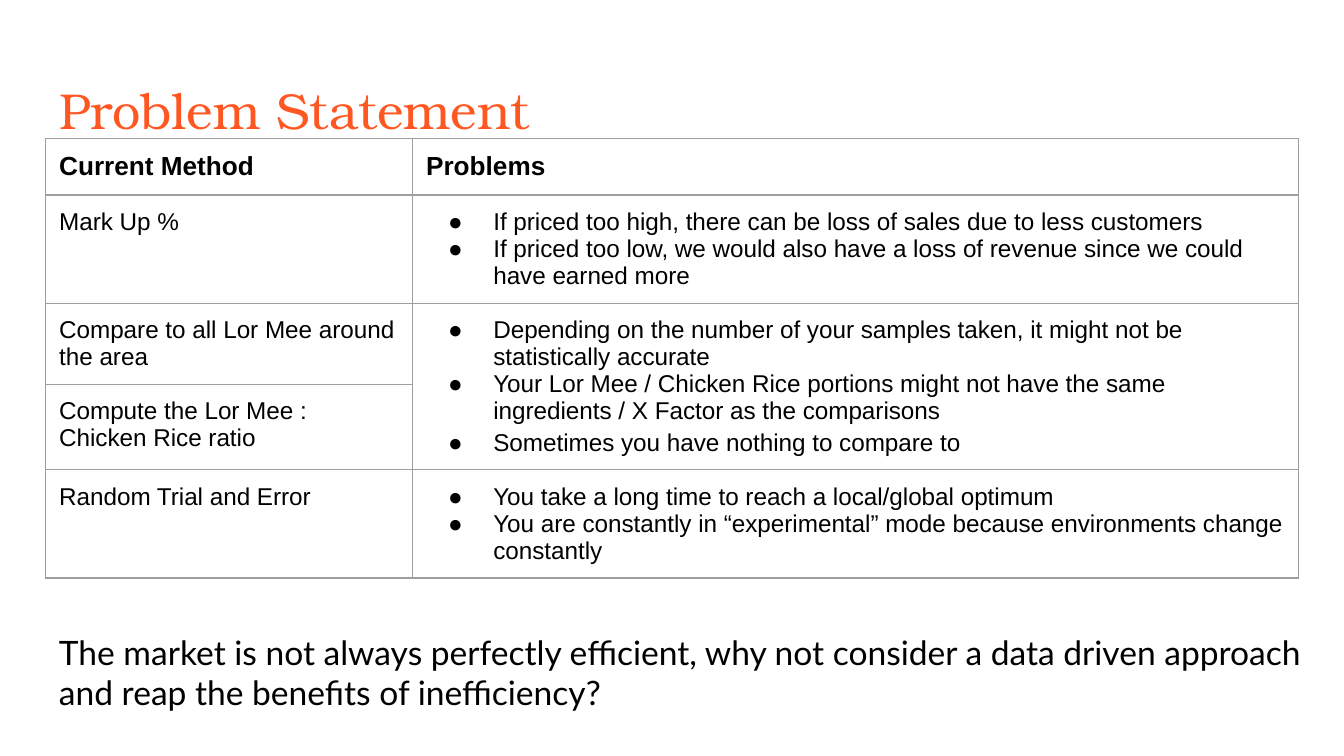
"""Build the problem statement slide with its table of pricing methods."""
from dataclasses import dataclass

from lxml.etree import SubElement
from pptx import Presentation
from pptx.dml.color import RGBColor
from pptx.enum.text import MSO_ANCHOR as Anchor, MSO_AUTO_SIZE as AutoSize, PP_ALIGN as Align
from pptx.oxml import parse_xml
from pptx.oxml.ns import nsdecls, qn
from pptx.util import Pt

ORANGE = RGBColor(0xFF, 0x57, 0x22)
BLACK = RGBColor(0x00, 0x00, 0x00)
GREY = RGBColor(0x9E, 0x9E, 0x9E)
INSET = Pt(7.2)
LEFT = Pt(24.5)


@dataclass(frozen=True)
class Style:
    font: str
    size: float
    color: RGBColor = BLACK
    bold: bool = False


@dataclass(frozen=True)
class Method:
    name: str
    height: float
    problems: tuple[str, ...] = ()


TITLE = Style("TeX Gyre Bonum", 27, ORANGE)
HEADER = Style("Arial", 14, bold=True)
BODY = Style("Arial", 13)
CLOSING = Style("Lato", 18)

HEADER_HEIGHT = 30.4
COLUMN_WIDTHS = (196.6, 474.5)
METHODS = (
    Method("Mark Up %", 58, (
        "If priced too high, there can be loss of sales due to less customers",
        "If priced too low, we would also have a loss of revenue since we could have earned more",
    )),
    Method("Compare to all Lor Mee around the area", 43.4, (
        "Depending on the number of your samples taken, it might not be statistically accurate",
        "Your Lor Mee / Chicken Rice portions might not have the same ingredients / X Factor "
        "as the comparisons",
        "Sometimes you have nothing to compare to",
    )),
    Method("Compute the Lor Mee : Chicken Rice ratio", 45.5),
    Method("Random Trial and Error", 58, (
        "You take a long time to reach a local/global optimum",
        "You are constantly in “experimental” mode because environments change constantly",
    )),
)


def add_run(paragraph, text: str, style: Style) -> None:
    run = paragraph.add_run()
    run.text = text
    run.font.name = style.font
    run.font.size = Pt(style.size)
    run.font.bold = style.bold
    run.font.color.rgb = style.color


def set_insets(holder) -> None:
    holder.margin_left = holder.margin_right = INSET
    holder.margin_top = holder.margin_bottom = INSET


def fill_frame(frame, text: str, style: Style) -> None:
    set_insets(frame)
    frame.word_wrap = True
    frame.vertical_anchor = Anchor.TOP
    frame.paragraphs[0].alignment = Align.LEFT
    add_run(frame.paragraphs[0], text, style)


def add_bullet(paragraph) -> None:
    properties = paragraph._p.get_or_add_pPr()
    properties.set("marL", str(Pt(36)))
    properties.set("indent", str(Pt(-24.25)))
    color = SubElement(properties, qn("a:buClr"))
    SubElement(color, qn("a:srgbClr")).set("val", str(BLACK))
    SubElement(properties, qn("a:buFont")).set("typeface", "Arial")
    SubElement(properties, qn("a:buChar")).set("char", "●")


def format_cell(cell) -> None:
    set_insets(cell)
    cell.vertical_anchor = Anchor.TOP
    cell.fill.background()
    properties = cell._tc.get_or_add_tcPr()
    for position, side in enumerate("LRTB"):
        properties.insert(position, parse_xml(
            f'<a:ln{side} {nsdecls("a")} w="{Pt(0.75)}"><a:solidFill>'
            f'<a:srgbClr val="{GREY}"/></a:solidFill></a:ln{side}>'))


def fill_problems(cell, problems: tuple[str, ...]) -> None:
    frame = cell.text_frame
    for number, problem in enumerate(problems):
        paragraph = frame.add_paragraph() if number else frame.paragraphs[0]
        if number == 2:
            paragraph.line_spacing = 1.15
        add_bullet(paragraph)
        add_run(paragraph, problem, BODY)


def add_methods_table(slide) -> None:
    heights = [HEADER_HEIGHT, *(method.height for method in METHODS)]
    table = slide.shapes.add_table(
        len(heights), len(COLUMN_WIDTHS), LEFT, Pt(74.1),
        Pt(sum(COLUMN_WIDTHS)), Pt(sum(heights))).table
    table.first_row = table.horz_banding = False
    for column, width in zip(table.columns, COLUMN_WIDTHS):
        column.width = Pt(width)
    for row, height in zip(table.rows, heights):
        row.height = Pt(height)
    for cell in table.iter_cells():
        format_cell(cell)
    for column, heading in enumerate(("Current Method", "Problems")):
        add_run(table.cell(0, column).text_frame.paragraphs[0], heading, HEADER)
    for row, method in enumerate(METHODS, start=1):
        add_run(table.cell(row, 0).text_frame.paragraphs[0], method.name, BODY)
        fill_problems(table.cell(row, 1), method.problems)
    table.cell(2, 1).merge(table.cell(3, 1))


def main() -> None:
    deck = Presentation()
    deck.slide_width, deck.slide_height = Pt(720), Pt(405)
    slide = deck.slides.add_slide(deck.slide_layouts[5])

    title = slide.shapes.title
    title.left, title.top, title.width, title.height = LEFT, Pt(35.3), Pt(671), Pt(45.4)
    fill_frame(title.text_frame, "Problem Statement", TITLE)
    title.text_frame.auto_size = AutoSize.NONE

    add_methods_table(slide)

    closing = slide.shapes.add_textbox(LEFT, Pt(331.2), Pt(687.6), Pt(58.3))
    fill_frame(closing.text_frame,
               "The market is not always perfectly efficient, why not consider a data driven "
               "approach and reap the benefits of inefficiency?", CLOSING)
    closing.text_frame.auto_size = AutoSize.SHAPE_TO_FIT_TEXT

    deck.save("out.pptx")


if __name__ == "__main__":
    main()
